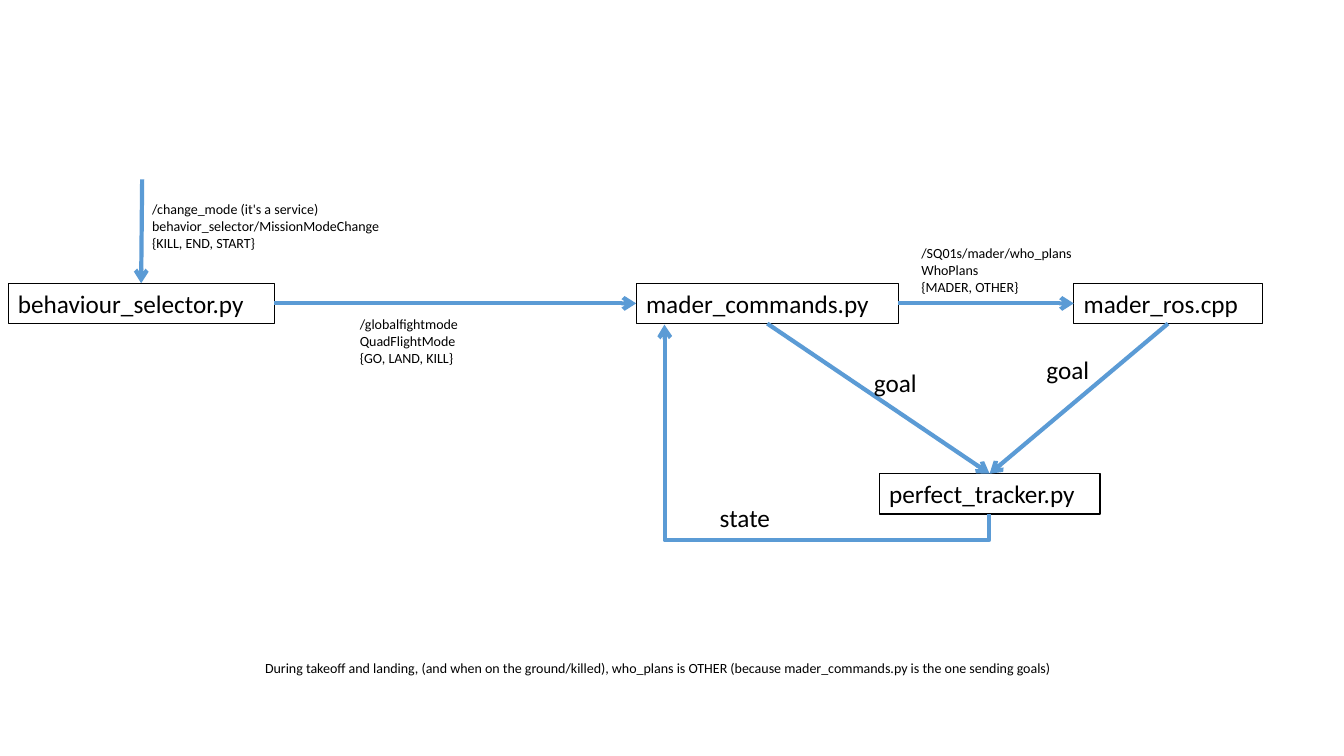
from lxml import etree
from pptx import Presentation
from pptx.dml.color import RGBColor
from pptx.enum.shapes import MSO_CONNECTOR as CONN, MSO_SHAPE
from pptx.enum.text import MSO_ANCHOR, MSO_AUTO_SIZE, PP_ALIGN
from pptx.oxml.ns import qn
from pptx.util import Inches, Pt

BLACK = RGBColor(0x00, 0x00, 0x00)
BLUE = RGBColor(0x5B, 0x9B, 0xD5)
FONT = "Calibri"
NODE_HEIGHT = 0.4
ROW_TOP = 2.81
TOP, LEFT, BOTTOM, RIGHT = range(4)  # connection sites of a rectangle


def write(shape, text, size):
    """Put left-aligned, unwrapped black text into a shape."""
    tf = shape.text_frame
    tf.text = text
    tf.word_wrap = False
    tf.auto_size = MSO_AUTO_SIZE.SHAPE_TO_FIT_TEXT
    tf.vertical_anchor = MSO_ANCHOR.TOP
    for p in tf.paragraphs:
        p.alignment = PP_ALIGN.LEFT
        for r in p.runs:
            r.font.name, r.font.size = FONT, Pt(size)
            r.font.color.rgb = BLACK


def add_node(s, text, x, y, width):
    """Add an outlined box that names a program."""
    box = s.shapes.add_shape(MSO_SHAPE.RECTANGLE, Inches(x), Inches(y),
                             Inches(width), Inches(NODE_HEIGHT))
    box.shadow.inherit = False
    box.fill.background()
    box.line.color.rgb = BLACK
    box.line.width = Pt(0.75)
    write(box, text, 18)
    return box


def add_label(s, text, x, y, width, height, size):
    """Add a free text label."""
    label = s.shapes.add_textbox(Inches(x), Inches(y), Inches(width), Inches(height))
    write(label, text, size)


def add_arrow(s, x1, y1, x2, y2, kind=CONN.STRAIGHT):
    """Add a thick blue connector with an open arrowhead at its end."""
    arrow = s.shapes.add_connector(kind, Inches(x1), Inches(y1), Inches(x2), Inches(y2))
    arrow.line.color.rgb = BLUE
    arrow.line.width = Pt(3)
    etree.SubElement(arrow.line._get_or_add_ln(), qn("a:tailEnd"), type="arrow")
    etree.SubElement(arrow._element.spPr, qn("a:effectLst"))
    return arrow


def link(s, start, start_site, end, end_site):
    """Join two nodes with a straight arrow."""
    arrow = add_arrow(s, 0, 0, 1, 1)
    arrow.begin_connect(start, start_site)
    arrow.end_connect(end, end_site)


def add_feedback_arrow(s):
    """Add the bent arrow that runs below the tracker and up to the commands."""
    arrow = add_arrow(s, 9.14, 2.55, 7.26, 5.77, CONN.ELBOW)
    sp_pr = arrow._element.spPr
    sp_pr.find(qn("a:xfrm")).set("rot", str(90 * 60000))
    geom = sp_pr.find(qn("a:prstGeom"))
    geom.set("prst", "bentConnector4")
    guides = geom.find(qn("a:avLst"))
    for name, value in (("adj1", -13800), ("adj2", 99900)):
        etree.SubElement(guides, qn("a:gd"), name=name, fmla=f"val {value}")


def main():
    """Build the node diagram and save it."""
    prs = Presentation()
    prs.slide_width, prs.slide_height = Inches(13.33), Inches(7.5)
    s = prs.slides.add_slide(prs.slide_layouts[6])

    commands = add_node(s, "mader_commands.py", 6.31, ROW_TOP, 2.6)
    planner = add_node(s, "mader_ros.cpp", 10.65, ROW_TOP, 1.87)
    selector = add_node(s, "behaviour_selector.py", 0.08, ROW_TOP, 2.64)
    tracker = add_node(s, "perfect_tracker.py", 8.72, 4.7, 2.19)

    link(s, commands, BOTTOM, tracker, TOP)
    link(s, planner, BOTTOM, tracker, TOP)
    link(s, selector, RIGHT, commands, LEFT)
    link(s, commands, RIGHT, planner, LEFT)
    add_arrow(s, 1.41, 1.78, 1.41, ROW_TOP).end_connect(selector, TOP)
    add_feedback_arrow(s)

    for text, x, y, width in (("goal", 8.57, 3.59, 0.67),
                              ("goal", 10.28, 3.47, 0.67),
                              ("state", 7.04, 4.93, 0.74)):
        add_label(s, text, x, y, width, 0.4, 18)

    topics = (
        ("/globalfightmode\nQuadFlightMode\n{GO, LAND, KILL}", 3.47, 3.08, 1.32),
        ("/change_mode (it's a service)\nbehavior_selector/MissionModeChange\n"
         "{KILL, END, START}", 1.41, 1.94, 2.64),
        ("/SQ01s/mader/who_plans\nWhoPlans\n{MADER, OTHER}", 9.04, 2.38, 1.8),
    )
    for text, x, y, width in topics:
        add_label(s, text, x, y, width, 0.6, 10)

    add_label(s, "During takeoff and landing, (and when on the ground/killed), "
              "who_plans is OTHER (because mader_commands.py is the one sending goals)",
              2.53, 6.49, 8.81, 0.27, 10)

    prs.save("out.pptx")


main()
